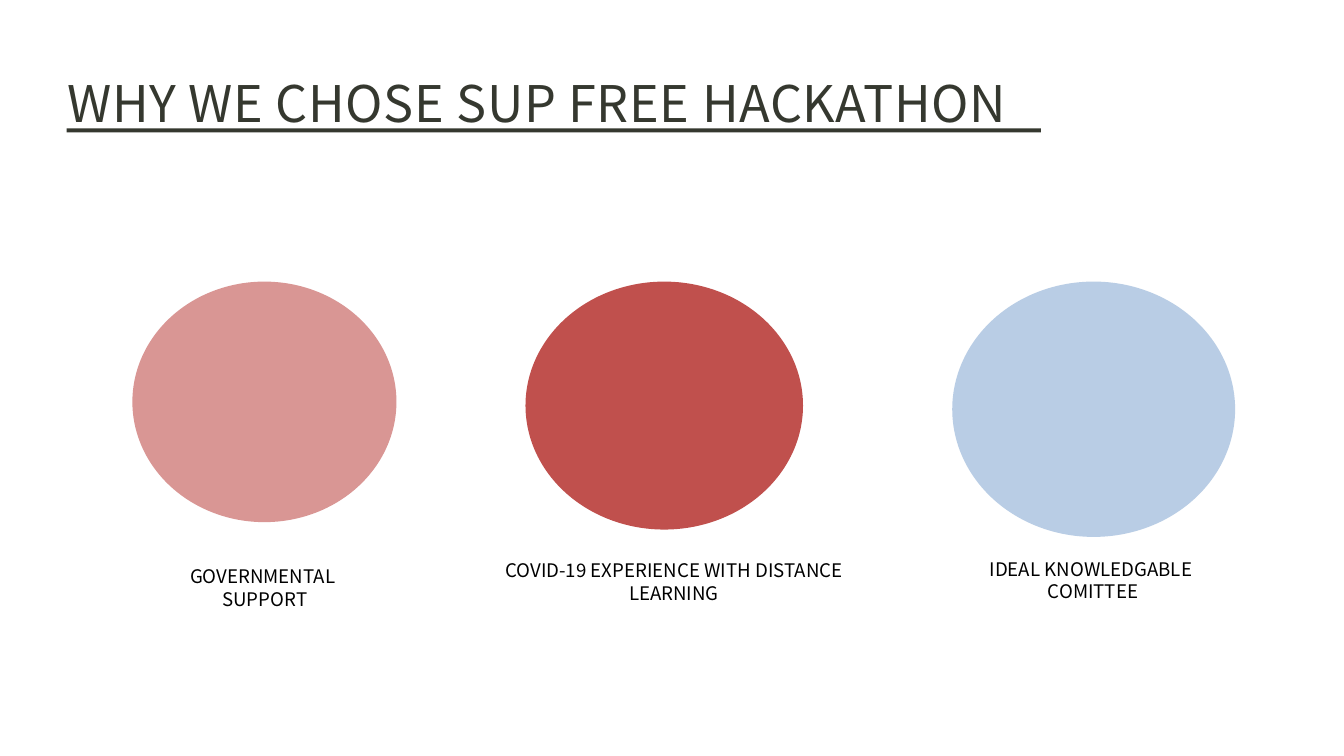
from dataclasses import dataclass

from pptx import Presentation
from pptx.dml.color import RGBColor
from pptx.enum.shapes import MSO_SHAPE
from pptx.enum.text import MSO_ANCHOR, MSO_AUTO_SIZE, PP_ALIGN
from pptx.util import Emu, Pt

RECTANGLE = MSO_SHAPE.RECTANGLE
OVAL = MSO_SHAPE.OVAL
LEFT = PP_ALIGN.LEFT
CENTER = PP_ALIGN.CENTER
TOP = MSO_ANCHOR.TOP
NO_AUTOFIT = MSO_AUTO_SIZE.NONE

EMU_PER_PX = 9144  # 100 px to the inch
TITLE_ONLY = 5


@dataclass(frozen=True)
class Theme:
    font: str = "Noto Sans CJK TC"
    title_color: str = "35382F"
    text_color: str = "000000"
    pink: str = "D99694"
    red: str = "C0504D"
    blue: str = "B9CDE5"
    title_size: int = 54
    title_line: float = 86.4
    title_tracking: int = 70  # hundredths of a point
    caption_size: int = 20


THEME = Theme()
CIRCLE_TOP = 419

# Circle box (left, width, height), colour, caption box, caption lines
REASONS = [
    ((197, 393, 358), THEME.pink, (100, 841, 588, 67),
     "GOVERNMENTAL \nSUPPORT"),
    ((782, 413, 369), THEME.red, (694, 832, 618, 67),
     "COVID-19 EXPERIENCE WITH DISTANCE LEARNING"),
    ((1417, 421, 380), THEME.blue, (1312, 830, 629, 67),
     "IDEAL KNOWLEDGABLE \nCOMITTEE"),
]


def px(*lengths):
    return [Emu(length * EMU_PER_PX) for length in lengths]


def format_text(shape, text, size, color, alignment):
    frame = shape.text_frame
    frame.text = text
    frame.word_wrap = True
    frame.auto_size = NO_AUTOFIT
    frame.vertical_anchor = TOP
    frame.margin_left = frame.margin_right = 0
    frame.margin_top = frame.margin_bottom = 0
    for paragraph in frame.paragraphs:
        paragraph.alignment = alignment
        for run in paragraph.runs:
            run.font.name = THEME.font
            run.font.size = Pt(size)
            run.font.color.rgb = RGBColor.from_string(color)


def add_title(slide, box, text):
    title = slide.shapes.title
    title.left, title.top, title.width, title.height = px(*box)
    format_text(title, text, THEME.title_size, THEME.title_color, LEFT)
    paragraph = title.text_frame.paragraphs[0]
    paragraph.line_spacing = Pt(THEME.title_line)
    properties = paragraph.runs[0].font._element
    properties.set("spc", str(THEME.title_tracking))


def add_filled_shape(slide, kind, box, color):
    shape = slide.shapes.add_shape(kind, *px(*box))
    shape.shadow.inherit = False
    shape.fill.solid()
    shape.fill.fore_color.rgb = RGBColor.from_string(color)
    shape.line.fill.background()


def add_caption(slide, box, text):
    caption = slide.shapes.add_textbox(*px(*box))
    format_text(caption, text, THEME.caption_size, THEME.text_color, CENTER)


def main():
    presentation = Presentation()
    presentation.slide_width, presentation.slide_height = px(2000, 1125)
    slide = presentation.slides.add_slide(presentation.slide_layouts[TITLE_ONLY])

    # Title and its rule
    add_title(slide, (100, 77, 1492, 109), "WHY WE CHOSE SUP FREE HACKATHON")
    add_filled_shape(slide, RECTANGLE, (99, 191, 1450, 6), THEME.title_color)

    # Three reasons, each a circle with a caption below
    for (left, width, height), color, caption_box, caption in REASONS:
        add_filled_shape(slide, OVAL, (left, CIRCLE_TOP, width, height), color)
        add_caption(slide, caption_box, caption)

    presentation.save("out.pptx")


if __name__ == "__main__":
    main()
